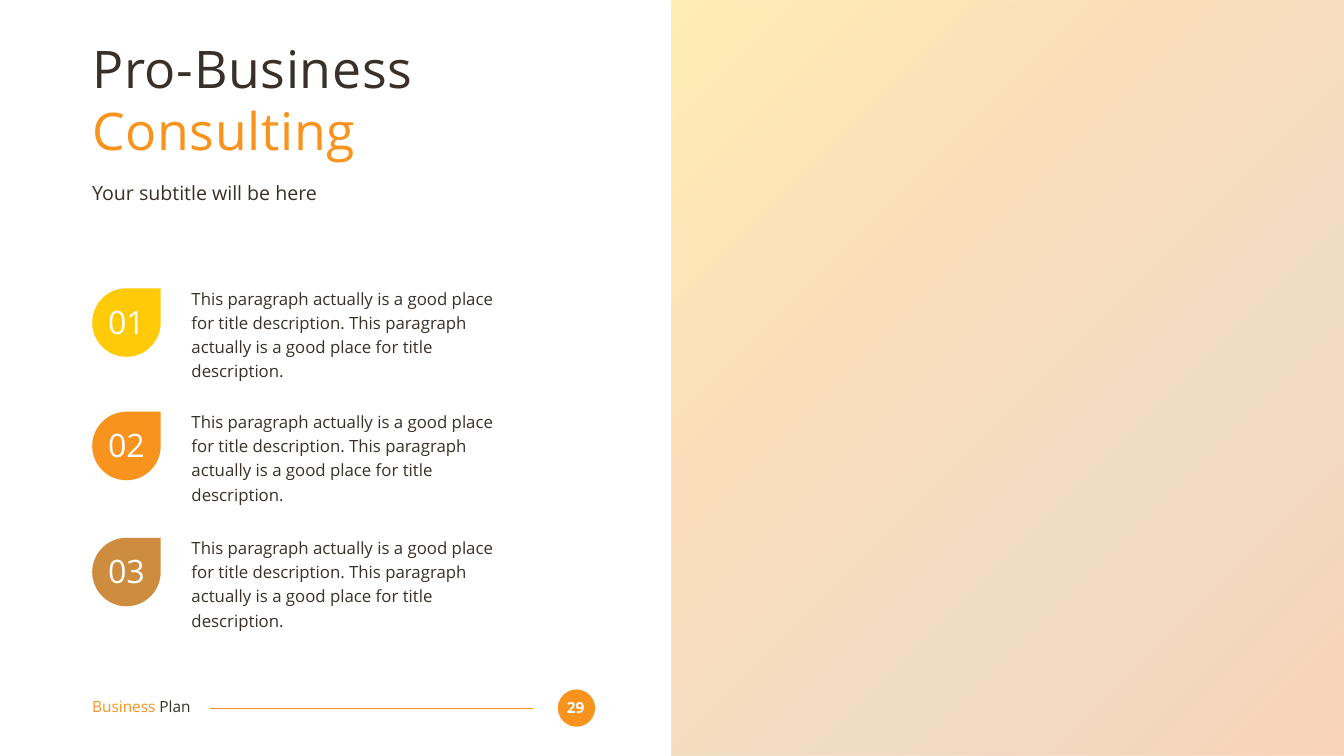
from lxml import etree
from pptx import Presentation, util as u
from pptx.dml.color import RGBColor
from pptx.enum import shapes, text
from pptx.oxml import parse_xml
from pptx.oxml.ns import nsdecls, qn

FONT = "Open Sans"
C = {"dark": "39302A", "orange": "F8931D", "yellow": "FFCA08",
     "bronze": "CE8D3E", "rust": "EC7016", "white": "FFFFFF"}
LEFT = 6.86  # left margin, percent of the slide width
ITEM_TOPS = (37.6, 53.93, 70.6)
ITEM_COLORS = ("yellow", "orange", "bronze")
BODY = ("This paragraph actually is a good place for title description. "
        "This paragraph actually is a good place for title description.")


def within(box, left, top, width, height):
    """Return a box given in percent of another box."""
    x, y, w, h = box
    return (int(x + w * left / 100), int(y + h * top / 100),
            int(w * width / 100), int(h * height / 100))


def write(sp, runs, size, align=text.PP_ALIGN.LEFT, bold=False, spacing=None,
          anchor=text.MSO_ANCHOR.TOP):
    tf = sp.text_frame
    tf.word_wrap = True
    tf.auto_size = text.MSO_AUTO_SIZE.NONE
    tf.vertical_anchor = anchor
    tf.margin_left = tf.margin_top = tf.margin_right = tf.margin_bottom = 0
    p = tf.paragraphs[0]
    p.alignment = align
    if spacing:
        p.line_spacing = spacing
    for words, color in runs:
        r = p.add_run()
        r.text = words
        r.font.name, r.font.size, r.font.bold = FONT, u.Pt(size), bold
        r.font.color.rgb = RGBColor.from_string(C[color])
    return p


def add_text(s, box, runs, size, **style):
    return write(s.shapes.add_textbox(*box), runs, size, **style)


def add_solid(s, kind, box, color):
    sp = s.shapes.add_shape(kind, *box)
    sp.shadow.inherit = False
    sp.fill.solid()
    sp.fill.fore_color.rgb = RGBColor.from_string(C[color])
    sp.line.fill.background()
    return sp


def gradient_panel(s, box):
    sp = add_solid(s, shapes.MSO_SHAPE.RECTANGLE, box, "yellow")
    stops = "".join(
        f'<a:gs pos="{pos}000"><a:srgbClr val="{C[name]}">'
        '<a:alpha val="30000"/></a:srgbClr></a:gs>'
        for pos, name in ((0, "yellow"), (33, "orange"), (66, "bronze"), (100, "rust")))
    solid = sp._element.spPr.find(qn("a:solidFill"))
    solid.getparent().replace(solid, parse_xml(
        f'<a:gradFill {nsdecls("a")} rotWithShape="1"><a:gsLst>{stops}</a:gsLst>'
        '<a:lin ang="2700000" scaled="0"/></a:gradFill>'))


def header(s, box):
    title = s.shapes.title
    title.left, title.top, title.width, title.height = within(box, 0, 0, 100, 75.22)
    p = write(title, [("Pro-Business ", "dark"), ("Consulting", "orange")], 74)
    for r in p.runs:
        r.font._element.set("spc", "100")
    add_text(s, within(box, 0, 85.37, 100, 14.63),
             [("Your subtitle will be here", "dark")], 28)


def item(s, box, number, color):
    add_text(s, within(box, 23.88, 0, 76.12, 98.61), [(BODY, "dark")], 24, spacing=1.2)
    add_solid(s, shapes.MSO_SHAPE.TEAR, within(box, 0, 5.56, 16.48, 94.44), color)
    add_text(s, within(box, 1.58, 24.31, 13.33, 53.47),
             [(f"{number:02}", "white")], 46, align=text.PP_ALIGN.CENTER)


def footer(s, box):
    # Page number
    add_solid(s, shapes.MSO_SHAPE.OVAL, within(box, 92.59, 0, 7.41, 100), "orange")
    add_text(s, within(box, 93.19, 22.97, 5.91, 50), [("29", "white")], 22,
             align=text.PP_ALIGN.CENTER, bold=True)
    # Rule
    x, y, w, _ = within(box, 23.35, 50, 64.23, 0)
    rule = s.shapes.add_connector(shapes.MSO_CONNECTOR.STRAIGHT, x + w, y, x, y)
    rule.line.color.rgb = RGBColor.from_string(C["orange"])
    rule.line.width = u.Pt(1.5)
    etree.SubElement(rule._element.spPr, qn("a:effectLst"))
    # Deck name
    add_text(s, within(box, 0, 21.62, 25.95, 50),
             [("Business ", "orange"), ("Plan", "dark")], 22)


def main():
    prs = Presentation()
    prs.slide_width, prs.slide_height = u.Inches(26.67), u.Inches(15)
    s = prs.slides.add_slide(prs.slide_layouts[5])
    page = (0, 0, prs.slide_width, prs.slide_height)
    footer(s, within(page, LEFT, 91.2, 37.42, 4.93))
    gradient_panel(s, within(page, 50, 0, 50, 100))
    header(s, within(page, LEFT, 4.87, 37.12, 22.33))
    for number, (top, color) in enumerate(zip(ITEM_TOPS, ITEM_COLORS), 1):
        item(s, within(page, LEFT, top, 30.93, 9.6), number, color)
    prs.save("out.pptx")


if __name__ == "__main__":
    main()
